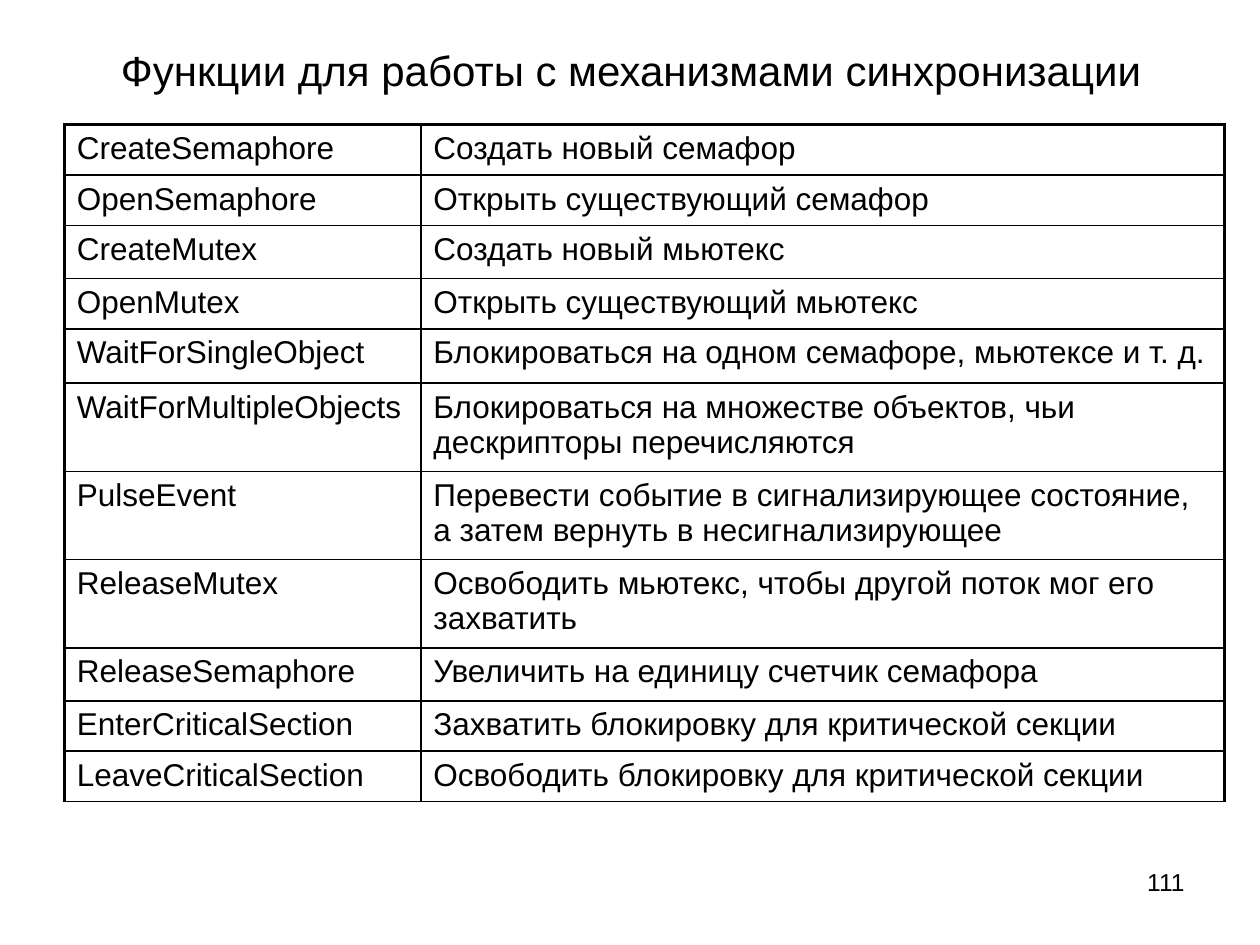
from lxml import etree
from pptx import Presentation
from pptx import util as u
from pptx.dml.color import RGBColor
from pptx.enum import text
from pptx.oxml.ns import qn

COLORS = {"ink": "000000"}
FONT = "Arial"
LEFT = 0.51
COLUMN_WIDTHS = [2.83, 6.38]
THIN, THICK = 1, 2.25

# function, purpose, row height in inches
FUNCTIONS = [
    ("CreateSemaphore", "Создать новый семафор", 0.4),
    ("OpenSemaphore", "Открыть существующий семафор", 0.36),
    ("CreateMutex", "Создать новый мьютекс", 0.42),
    ("OpenMutex", "Открыть существующий мьютекс", 0.36),
    ("WaitForSingleObject", "Блокироваться на одном семафоре, мьютексе и т. д.", 0.43),
    ("WaitForMultipleObjects",
     "Блокироваться на множестве объектов, чьи дескрипторы перечисляются", 0.7),
    ("PulseEvent",
     "Перевести событие в сигнализирующее состояние, а затем вернуть в несигнализирующее", 0.45),
    ("ReleaseMutex", "Освободить мьютекс, чтобы другой поток мог его захватить", 0.45),
    ("ReleaseSemaphore", "Увеличить на единицу счетчик семафора", 0.42),
    ("EnterCriticalSection", "Захватить блокировку для критической секции", 0.39),
    ("LeaveCriticalSection", "Освободить блокировку для критической секции", 0.39),
]


def write(frame, words, size, align=text.PP_ALIGN.LEFT):
    frame.text = words
    paragraph = frame.paragraphs[0]
    paragraph.alignment = align
    paragraph.space_before = u.Pt(0)
    font = paragraph.runs[0].font
    font.name, font.size = FONT, u.Pt(size)
    font.color.rgb = RGBColor.from_string(COLORS["ink"])


def add_label(slide, box, words, size, align, anchor):
    frame = slide.shapes.add_textbox(*map(u.Inches, box)).text_frame
    frame.word_wrap = True
    frame.vertical_anchor = anchor
    write(frame, words, size, align)


def set_borders(cell, widths):
    """Draw cell borders from widths in points, keyed by side L, R, T, B."""
    properties = cell._tc.get_or_add_tcPr()
    for side, width in widths.items():
        line = etree.SubElement(properties, qn(f"a:ln{side}"), w=str(u.Pt(width)))
        fill = etree.SubElement(line, qn("a:solidFill"))
        etree.SubElement(fill, qn("a:srgbClr"), val=COLORS["ink"])


def add_function_table(slide):
    frame = slide.shapes.add_table(
        len(FUNCTIONS), len(COLUMN_WIDTHS), u.Inches(LEFT), u.Inches(0.99),
        u.Inches(sum(COLUMN_WIDTHS)), u.Inches(5.37))
    table = frame.table
    table.first_row = table.horz_banding = False
    for column, width in zip(table.columns, COLUMN_WIDTHS):
        column.width = u.Inches(width)
    for r, (*entries, height) in enumerate(FUNCTIONS):
        table.rows[r].height = u.Inches(height)
        for c, entry in enumerate(entries):
            cell = table.cell(r, c)
            write(cell.text_frame, entry, 18)
            set_borders(cell, {
                "L": THICK if c == 0 else THIN,
                "R": THICK if c == len(entries) - 1 else THIN,
                "T": THICK if r == 0 else THIN,
                "B": THIN,
            })
            cell.fill.background()
    frame.height = u.Inches(5.37)


def main():
    deck = Presentation()
    deck.slide_width, deck.slide_height = u.Inches(10), u.Inches(7.5)
    slide = deck.slides.add_slide(deck.slide_layouts[6])
    add_label(slide, (7.17, 6.83, 2.33, 0.52), "111", 14,
              text.PP_ALIGN.RIGHT, text.MSO_ANCHOR.TOP)
    add_label(slide, (LEFT, 0.21, 9, 0.69),
              "Функции для работы с механизмами синхронизации", 24,
              text.PP_ALIGN.CENTER, text.MSO_ANCHOR.MIDDLE)
    add_function_table(slide)
    deck.save("out.pptx")


if __name__ == "__main__":
    main()
